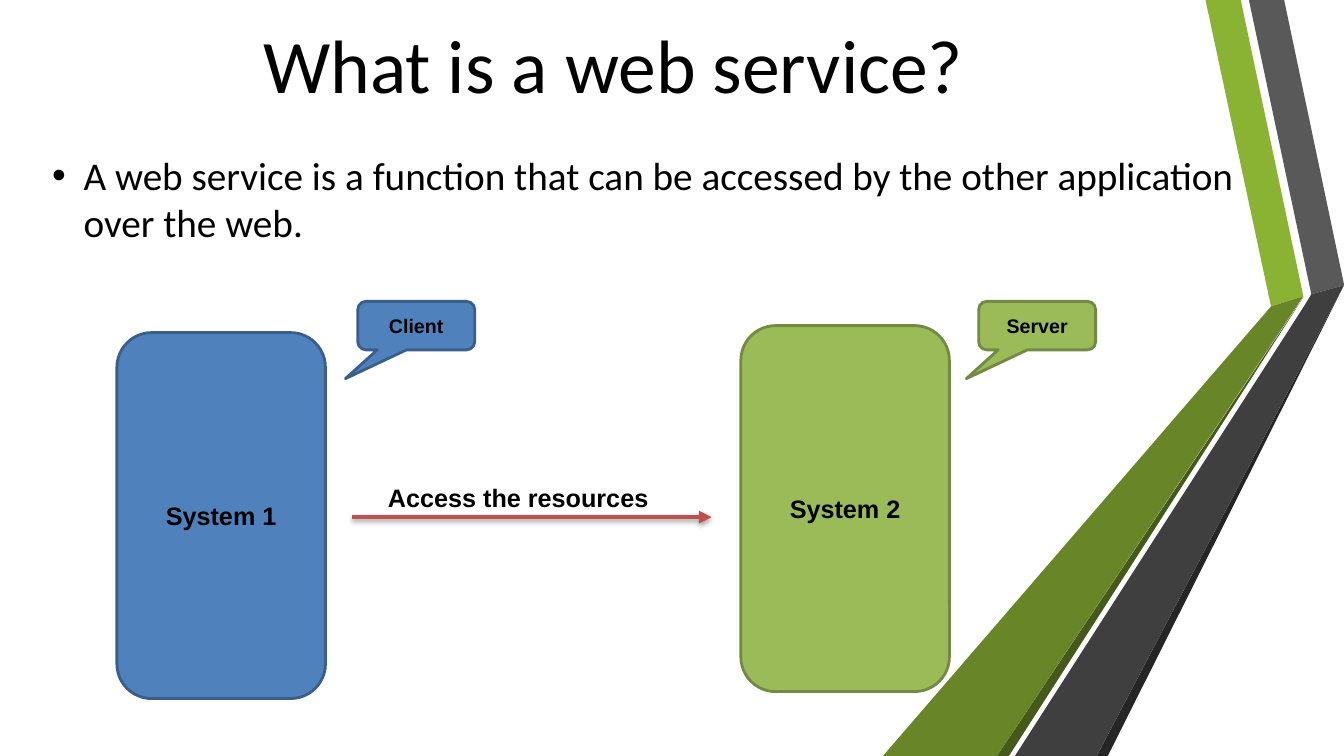
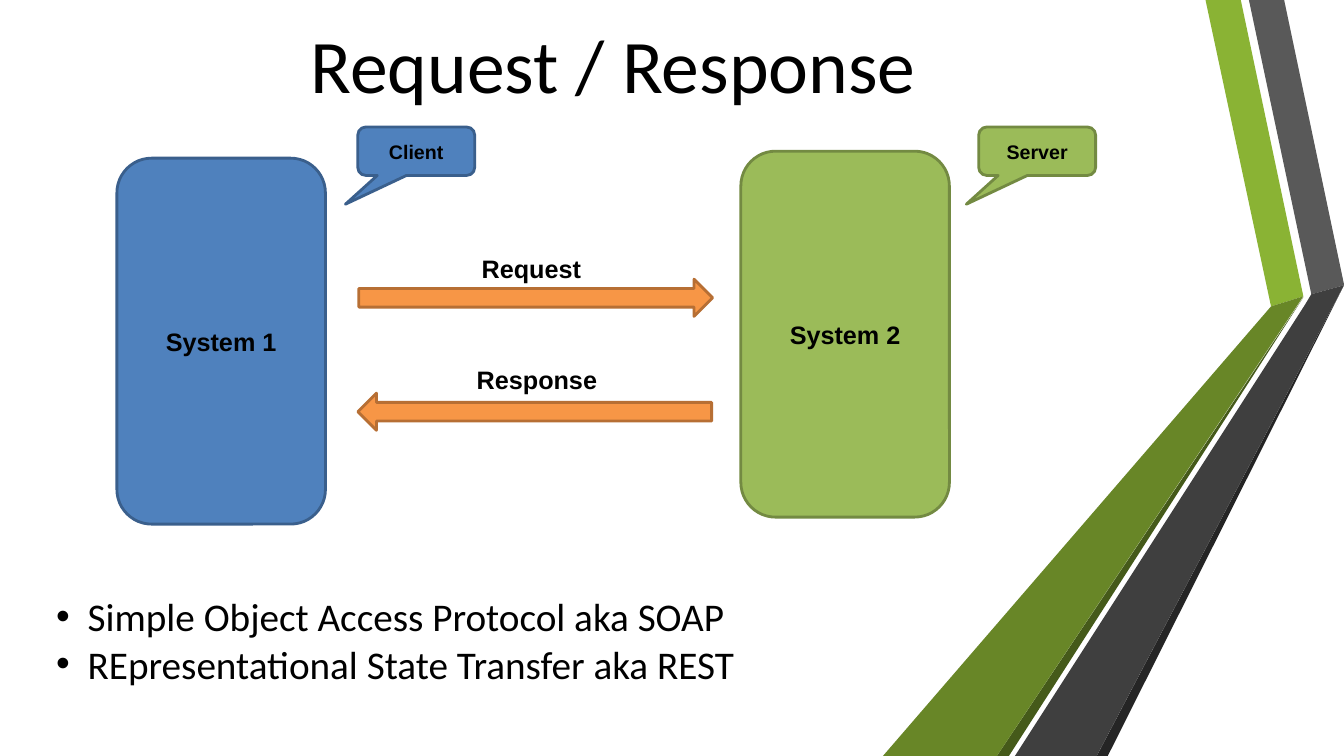
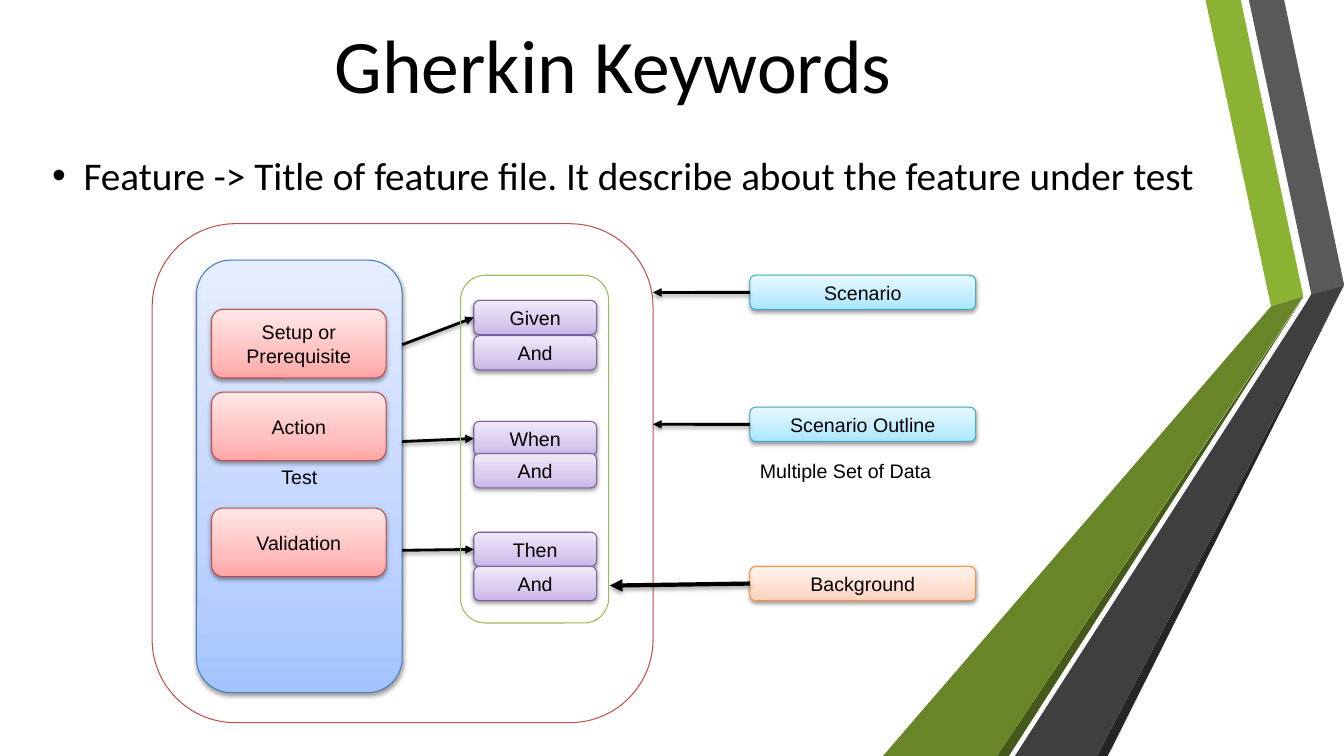
from lxml import etree
from pptx import Presentation
from pptx import util as u
from pptx.dml.color import RGBColor
from pptx.enum import shapes, text
from pptx.oxml import ns

BLACK = RGBColor.from_string("000000")
BLUE = RGBColor.from_string("4F81BD")
DARK_BLUE = RGBColor.from_string("3A5F8C")
GREEN = RGBColor.from_string("9BBB59")
DARK_GREEN = RGBColor.from_string("738A42")
ORANGE = RGBColor.from_string("F79646")
DARK_ORANGE = RGBColor.from_string("B76F34")
RED = RGBColor.from_string("C0504D")

SLIDE_SIZE = (960, 540)
TITLE_BOX = (48.2, 13, 779.8, 65.5)
TITLE_FORMAT = {"name": "Calibri", "size": u.Pt(54)}
BULLET_FORMAT = {"name": "Calibri", "size": u.Pt(28)}
LABEL_FORMAT = {"name": "Arial", "size": u.Pt(18), "bold": True}
CALLOUT_FORMAT = {"name": "Arial", "size": u.Pt(14), "bold": True}
KEYWORD_FORMAT = {"name": "Arial", "size": u.Pt(14)}

# Ribbon down the right edge: colour and corner points
RIBBON = [
    ("8AB334", [(886.3, 0), (861.1, 0), (907.9, 218.9), (931, 211.7)]),
    ("595959", [(917.3, 0), (892.1, 0), (936.7, 210.2), (960, 203.8), (960, 203)]),
    ("252525", [(960, 203.8), (783.4, 540), (791.3, 540)]),
    ("455A1A", [(931, 212.4), (712.1, 540), (720.7, 540)]),
    ("688627", [(931, 211.7), (907.9, 218.9), (630.7, 540), (712.1, 540)]),
    ("3F3F3F", [(960, 203.8), (936.7, 210.2), (932.4, 217.4), (725, 540),
                (783.4, 540)]),
]

# Shadows: opacity in percent, blur, distance
SOFT_SHADOW = (38, 3.1, 1.6)
HEAVY_SHADOW = (35, 3.1, 1.8)

# Gradients: colours from bottom to top, then the outline
GRADIENT_STOPS = (0, 35, 100)
TEST_STYLE = ("A4C4FF", "BFD4FF", "E6EEFF", "4B7EBC")
STEP_STYLE = ("FFA6A5", "FFC0BF", "FFE7E7", "BF4C48")
KEYWORD_STYLE = ("C9B5E8", "D8CBEE", "F0EAF9", "7D60A0")
SCENARIO_STYLE = ("A7E6FF", "C1EDFF", "E7F8FF", "46AAC5")
BACKGROUND_STYLE = ("FFD2BD", "FFDED0", "FFF2ED", "F69240")

# Systems: name, left, drop below the callout, role, callout left, fill, outline
SYSTEMS = [
    ("System 1", 83.5, 22.3, "Client", 255.6, BLUE, DARK_BLUE),
    ("System 2", 529.2, 17.3, "Server", 699.1, GREEN, DARK_GREEN),
]
SYSTEM_SIZE = (149, 261.4)
CALLOUT_SIZE = (83.5, 34.6)
CALLOUT_ADJUSTMENTS = (-0.606, 1.094, 0.167)

SERVICE_TITLE = "What is a web service?"
SERVICE_BULLETS = ["A web service is a function that can be accessed by the "
                   "other application over the web."]
EXCHANGE_TITLE = "Request / Response"
EXCHANGE_BULLETS = ["Simple Object Access Protocol aka SOAP",
                    "REpresentational State Transfer aka REST"]
# Messages: label, label box, arrow left, arrow top, rotation
MESSAGES = [
    ("Request", (337, 177.1, 86.4, 29), 256.3, 199.4, 180),
    ("Response", (333.4, 257, 101.5, 29), 255.6, 280.8, 0),
]
MESSAGE_SIZE = (252.7, 26.6)

GHERKIN_TITLE = "Gherkin Keywords"
GHERKIN_BULLETS = ["Feature -> Title of feature file. It describe about the "
                   "feature under test"]
TEST_BOX = (140.4, 185.8, 146.9, 308.9)
SCENARIO_FRAME = (108.7, 159.8, 357.8, 356.4)
KEYWORD_FRAME = (329, 196.6, 105.8, 248.4)
# Steps: name, top, keyword, keyword top, top of "And", arrow start
STEPS = [
    ("Setup or Prerequisite", 221, "Given", 214.6, 239.8, 246.2),
    ("Action", 280.1, "When", 301, 324, 315.4),
    ("Validation", 362.9, "Then", 380.2, 404.6, 393.1),
]
STEP_LEFT, STEP_SIZE = 151.2, (124.6, 49)
KEYWORD_LEFT, KEYWORD_SIZE = 338.4, (87.8, 24.5)
# Sections: name, top, style, arrow end, arrow width, arrow shadow
SECTIONS = [
    ("Scenario", 196.6, SCENARIO_STYLE, (466.5, 208.9), 2, SOFT_SHADOW),
    ("Scenario Outline", 290.9, SCENARIO_STYLE, (466.5, 303.1), 2, SOFT_SHADOW),
    ("Background", 404.6, BACKGROUND_STYLE, (435.6, 418.3), 3, HEAVY_SHADOW),
]
SECTION_LEFT, SECTION_SIZE = 535.7, (161.3, 24.5)
DATA_NOTE = "Multiple Set of Data"
DATA_NOTE_BOX = (535.7, 324, 147.6, 24.5)


def points(values):
    """Turn plain numbers into point lengths."""
    return [u.Pt(value) for value in values]


def add_node(parent, tag, **attributes):
    """Append a drawing element with the given attributes."""
    node = etree.SubElement(parent, ns.qn(tag))
    for name, value in attributes.items():
        node.set(name, str(value))
    return node


def set_shadow(shape, shadow=None):
    """Replace the theme shadow; call after fill and line are set."""
    effects = add_node(shape._element.spPr, "a:effectLst")
    if shadow:
        opacity, blur, distance = shadow
        outer = add_node(effects, "a:outerShdw", blurRad=u.Pt(blur),
                         dist=u.Pt(distance), dir=5400000, rotWithShape=0)
        color = add_node(outer, "a:srgbClr", val="000000")
        add_node(color, "a:alpha", val=opacity * 1000)


def set_gradient(shape, colors):
    """Fill a shape from bottom to top."""
    shape.fill.gradient()
    shape.fill.gradient_angle = 90
    stops = shape._element.spPr.find(".//" + ns.qn("a:gsLst"))
    for stop in list(stops):
        stops.remove(stop)
    for position, color in zip(GRADIENT_STOPS, colors):
        stop = add_node(stops, "a:gs", pos=position * 1000)
        add_node(stop, "a:srgbClr", val=color)


def write(paragraph, words, font_format, align=text.PP_ALIGN.LEFT):
    """Write one formatted run in black."""
    paragraph.alignment = align
    run = paragraph.add_run()
    run.text = words
    for name, value in font_format.items():
        setattr(run.font, name, value)
    run.font.color.rgb = BLACK


def add_label(slide, words, box, font_format, wrap=False):
    """Add a text box that grows with its text."""
    frame = slide.shapes.add_textbox(*points(box)).text_frame
    frame.word_wrap = wrap
    frame.auto_size = text.MSO_AUTO_SIZE.SHAPE_TO_FIT_TEXT
    write(frame.paragraphs[0], words, font_format)


def add_plain_frame(slide, box):
    """Add a wrapping text box without margins."""
    frame = slide.shapes.add_textbox(*points(box)).text_frame
    frame.word_wrap = True
    for side in ("left", "top", "right", "bottom"):
        setattr(frame, "margin_" + side, 0)
    return frame


def add_bullets(slide, lines, box):
    """Add a bulleted list."""
    frame = add_plain_frame(slide, box)
    for index, line in enumerate(lines):
        paragraph = frame.add_paragraph() if index else frame.paragraphs[0]
        write(paragraph, line, BULLET_FORMAT)
        properties = paragraph._p.get_or_add_pPr()
        properties.set("marL", str(u.Pt(23.75)))
        properties.set("indent", str(u.Pt(-22.5)))
        add_node(add_node(properties, "a:buClr"), "a:srgbClr", val="000000")
        add_node(properties, "a:buFont", typeface="Arial")
        add_node(properties, "a:buChar", char="•")


def add_block(slide, kind, box, fill, outline, width=2, words="",
              font_format=LABEL_FORMAT, shadow=None):
    """Add a preset shape; fill is a colour, a list of stops or None."""
    shape = slide.shapes.add_shape(kind, *points(box))
    if fill is None:
        shape.fill.background()
    elif isinstance(fill, RGBColor):
        shape.fill.solid()
        shape.fill.fore_color.rgb = fill
    else:
        set_gradient(shape, fill)
    shape.line.color.rgb = outline
    shape.line.width = u.Pt(width)
    set_shadow(shape, shadow)
    if words:
        shape.text_frame.vertical_anchor = text.MSO_ANCHOR.MIDDLE
        write(shape.text_frame.paragraphs[0], words, font_format,
              text.PP_ALIGN.CENTER)
    return shape


def add_glossy_box(slide, words, box, style):
    """Add a rounded gradient box with a soft shadow."""
    *colors, outline = style
    add_block(slide, shapes.MSO_SHAPE.ROUNDED_RECTANGLE, box, colors,
              RGBColor.from_string(outline), 0.75, words, KEYWORD_FORMAT,
              SOFT_SHADOW)


def add_arrow(slide, start, end, color=BLACK, width=2, shadow=SOFT_SHADOW):
    """Add a straight line with an arrowhead at its end."""
    arrow = slide.shapes.add_connector(shapes.MSO_CONNECTOR.STRAIGHT,
                                       *points(start + end))
    arrow.line.color.rgb = color
    arrow.line.width = u.Pt(width)
    add_node(arrow.line._get_or_add_ln(), "a:tailEnd", type="triangle")
    set_shadow(arrow, shadow)


def add_base_slide(presentation, title):
    """Add a slide with the ribbon and a centred title."""
    slide = presentation.slides.add_slide(presentation.slide_layouts[6])
    for color, corners in RIBBON:
        first, *others = [points(corner) for corner in corners]
        builder = slide.shapes.build_freeform(*first)
        builder.add_line_segments(others, close=True)
        band = builder.convert_to_shape()
        band.fill.solid()
        band.fill.fore_color.rgb = RGBColor.from_string(color)
        band.line.fill.background()
        set_shadow(band)
    frame = add_plain_frame(slide, TITLE_BOX)
    write(frame.paragraphs[0], title, TITLE_FORMAT, text.PP_ALIGN.CENTER)
    return slide


def add_systems(slide, top):
    """Add both systems with their callouts, which start at top."""
    for name, left, drop, role, role_left, fill, outline in SYSTEMS:
        add_block(slide, shapes.MSO_SHAPE.ROUNDED_RECTANGLE,
                  (left, top + drop, *SYSTEM_SIZE), fill, outline, words=name)
        callout = add_block(slide, shapes.MSO_SHAPE.ROUNDED_RECTANGULAR_CALLOUT,
                            (role_left, top, *CALLOUT_SIZE), fill, outline,
                            words=role, font_format=CALLOUT_FORMAT)
        for index, value in enumerate(CALLOUT_ADJUSTMENTS):
            callout.adjustments[index] = value


def build_service(presentation):
    """Build the web service slide."""
    slide = add_base_slide(presentation, SERVICE_TITLE)
    add_bullets(slide, SERVICE_BULLETS, (36, 108, 851.8, 75))
    add_systems(slide, 215.3)
    add_arrow(slide, (251.3, 369.4), (508.3, 369.4), RED, 3, HEAVY_SHADOW)
    add_label(slide, "Access the resources", (270, 340.6, 202.3, 29), LABEL_FORMAT)


def build_exchange(presentation):
    """Build the request and response slide."""
    slide = add_base_slide(presentation, EXCHANGE_TITLE)
    add_systems(slide, 90.7)
    for label, label_box, left, top, rotation in MESSAGES:
        arrow = add_block(slide, shapes.MSO_SHAPE.LEFT_ARROW,
                          (left, top, *MESSAGE_SIZE), ORANGE, DARK_ORANGE)
        arrow.rotation = rotation
        add_label(slide, label, label_box, LABEL_FORMAT)
    add_bullets(slide, EXCHANGE_BULLETS, (38.9, 423.4, 851.8, 105.8))


def build_gherkin(presentation):
    """Build the keyword slide."""
    slide = add_base_slide(presentation, GHERKIN_TITLE)
    add_bullets(slide, GHERKIN_BULLETS, (36, 108, 851.8, 35))
    add_glossy_box(slide, "Test", TEST_BOX, TEST_STYLE)
    test_right = TEST_BOX[0] + TEST_BOX[2]
    for name, top, keyword, keyword_top, and_top, start in STEPS:
        add_glossy_box(slide, name, (STEP_LEFT, top, *STEP_SIZE), STEP_STYLE)
        for word, word_top in ((keyword, keyword_top), ("And", and_top)):
            add_glossy_box(slide, word, (KEYWORD_LEFT, word_top, *KEYWORD_SIZE),
                           KEYWORD_STYLE)
        add_arrow(slide, (test_right, start),
                  (KEYWORD_LEFT, keyword_top + KEYWORD_SIZE[1] / 2))
    for frame_box, color in ((SCENARIO_FRAME, RED), (KEYWORD_FRAME, GREEN)):
        add_block(slide, shapes.MSO_SHAPE.ROUNDED_RECTANGLE, frame_box, None,
                  color, 0.75)
    for name, top, style, end, width, shadow in SECTIONS:
        add_glossy_box(slide, name, (SECTION_LEFT, top, *SECTION_SIZE), style)
        add_arrow(slide, (SECTION_LEFT, top + SECTION_SIZE[1] / 2), end,
                  width=width, shadow=shadow)
    add_label(slide, DATA_NOTE, DATA_NOTE_BOX, KEYWORD_FORMAT, wrap=True)


def main():
    """Build and save the presentation."""
    presentation = Presentation()
    presentation.slide_width, presentation.slide_height = points(SLIDE_SIZE)
    for build in (build_service, build_exchange, build_gherkin):
        build(presentation)
    presentation.save("out.pptx")


main()
